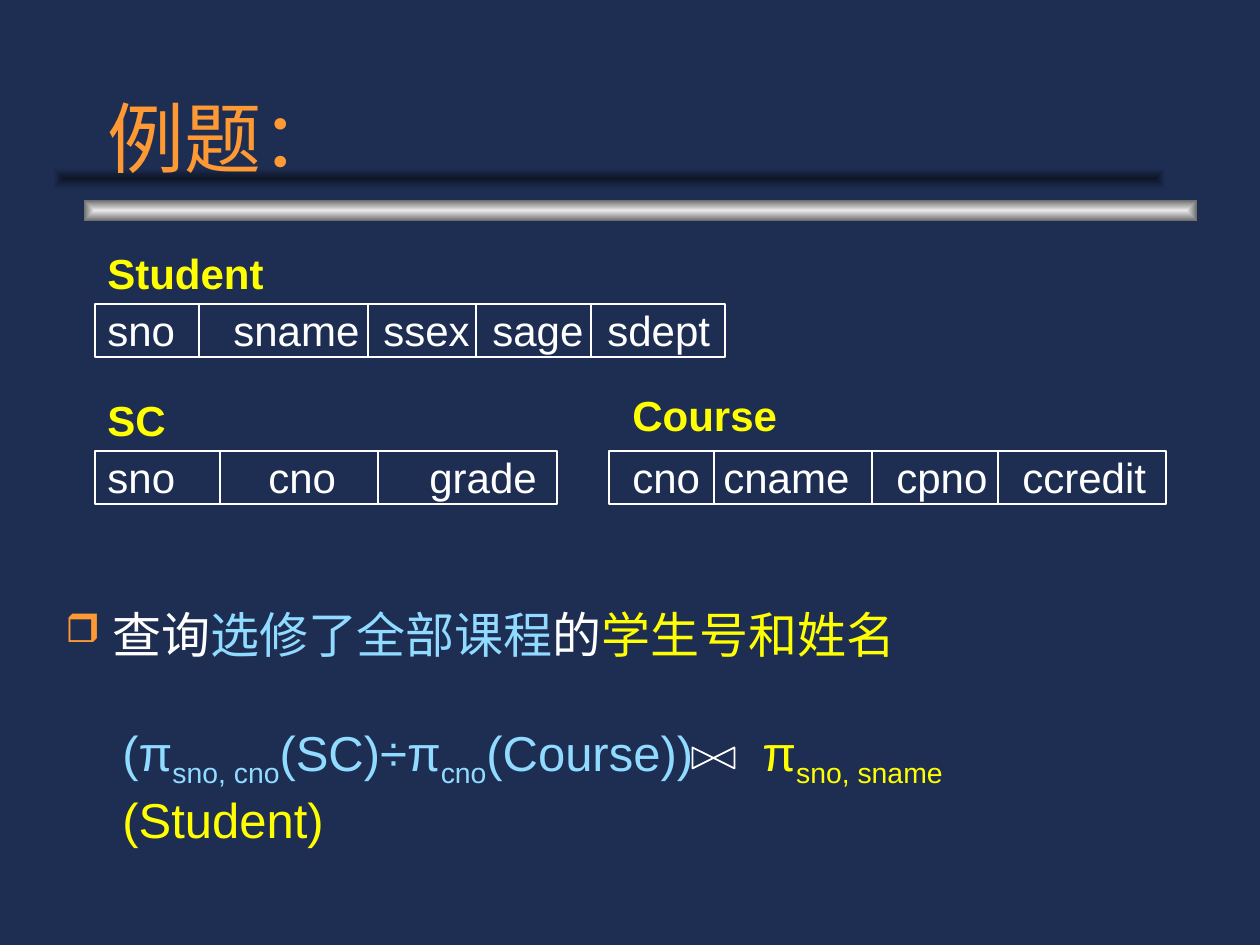
from lxml import etree
from pptx import Presentation
from pptx import util as u
from pptx.dml.color import RGBColor
from pptx.enum import shapes, text
from pptx.oxml.ns import qn

PX = 914400 // 126
FONT = "Arial"
NAVY = RGBColor(0x1E, 0x2E, 0x53)
SHADE = RGBColor(0x0E, 0x15, 0x26)
SILVER = RGBColor(0xEA, 0xEA, 0xEA)
GRAY = RGBColor(0x6C, 0x6C, 0x6C)
ORANGE = RGBColor(0xFF, 0x99, 0x33)
YELLOW = RGBColor(0xFF, 0xFF, 0x00)
SKY = RGBColor(0x90, 0xDB, 0xFF)
WHITE = RGBColor(0xFF, 0xFF, 0xFF)

TITLE = "例题："
# Bars under the title: left, top, centre colour, edge colour
BARS = [(84, 200, SILVER, GRAY), (53, 168, SHADE, NAVY)]
BAR_SIZE = (1113, 21)

# Each relation: text origin, gap before the row (pt), row frame, dividers,
# and columns as (name, x)
ROW_HEIGHT = 53
RELATIONS = [
    dict(name="Student", origin=(95, 241), gap=4, frame=(95, 304, 630),
         dividers=[199, 368, 476, 591],
         columns=[("sno", 107), ("sname", 233), ("ssex", 383),
                  ("sage", 492), ("sdept", 607)]),
    dict(name="SC", origin=(95, 388), gap=4, frame=(95, 451, 462),
         dividers=[220, 378],
         columns=[("sno", 107), ("cno", 268), ("grade", 429)]),
    dict(name="Course", origin=(620, 383), gap=7, frame=(609, 451, 557),
         dividers=[714, 872, 998],
         columns=[("cno", 632), ("cname", 723), ("cpno", 896),
                  ("ccredit", 1022)]),
]

# Runs: text, colour, subscript
QUESTION = [("查询", WHITE, False), ("选修了全部课程", SKY, False),
            ("的", WHITE, False), ("学生号和姓名", YELLOW, False)]
FORMULA = [
    [("(π", SKY, False), ("sno, cno", SKY, True), ("(SC)÷π", SKY, False),
     ("cno", SKY, True), ("(Course))\t", SKY, False), ("π", YELLOW, False),
     ("sno, sname", YELLOW, True)],
    [("(Student)", YELLOW, False)],
]
JOIN_GAP_END = 640


def px(*values):
    return [value * PX for value in values]


def add_box(page, *bounds, wrap=True, anchor=text.MSO_ANCHOR.TOP):
    frame = page.shapes.add_textbox(*px(*bounds)).text_frame
    frame.word_wrap = wrap
    frame.vertical_anchor = anchor
    return frame


def add_tabs(para, stops):
    tabs = etree.SubElement(para._p.get_or_add_pPr(), qn("a:tabLst"))
    for stop in stops:
        etree.SubElement(tabs, qn("a:tab"), pos=str(stop * PX), algn="l")


def style(font, size, color, bold=False):
    font.name, font.size, font.bold = FONT, u.Pt(size), bold
    font.color.rgb = color


def add_runs(para, runs, size):
    for words, color, subscript in runs:
        span = para.add_run()
        span.text = words
        style(span.font, size, color)
        if subscript:
            span.font._element.set("baseline", "-25000")


def add_bar(page, left, top, centre, edge):
    bar = page.shapes.add_shape(shapes.MSO_SHAPE.RECTANGLE,
                                *px(left, top, *BAR_SIZE))
    bar.shadow.inherit = False
    bar.line.fill.background()
    bar.fill.gradient()
    for stop, color in zip(bar.fill.gradient_stops, (centre, edge)):
        stop.color.rgb = color
    # Shade from the centre out to the four edges
    gradient = bar._element.spPr.find(qn("a:gradFill"))
    gradient.remove(gradient.find(qn("a:lin")))
    shading = etree.SubElement(gradient, qn("a:path"), path="rect")
    etree.SubElement(shading, qn("a:fillToRect"),
                     dict.fromkeys("ltrb", "50000"))


def add_outline(page, kind, *bounds):
    shape = page.shapes.add_shape(kind, *px(*bounds))
    shape.shadow.inherit = False
    shape.fill.background()
    shape.line.color.rgb = WHITE
    shape.line.width = u.Pt(1)
    return shape


def add_divider(page, x, top):
    line = page.shapes.add_connector(shapes.MSO_CONNECTOR.STRAIGHT,
                                     *px(x, top, x, top + ROW_HEIGHT))
    line.line.color.rgb = WHITE
    line.line.width = u.Pt(1)
    etree.SubElement(line._element.spPr, qn("a:effectLst"))


def add_relation(page, relation):
    left, top, width = relation["frame"]
    columns = relation["columns"]
    box = add_box(page, *relation["origin"], left + width - relation["origin"][0],
                  120, wrap=False)
    heading, row = box.paragraphs[0], box.add_paragraph()
    heading.text = relation["name"]
    style(heading.runs[0].font, 24, YELLOW, bold=True)
    row.space_before = u.Pt(relation["gap"])
    add_tabs(row, [x - columns[0][1] for _, x in columns[1:]])
    row.text = "\t".join(name for name, _ in columns)
    style(row.runs[0].font, 24, WHITE)
    add_outline(page, shapes.MSO_SHAPE.RECTANGLE, left, top, width, ROW_HEIGHT)
    for x in relation["dividers"]:
        add_divider(page, x, top)


def add_question(page):
    para = add_box(page, 53, 598, 1134, 126).paragraphs[0]
    props = para._p.get_or_add_pPr()
    props.set("marL", str(47 * PX))
    props.set("indent", str(-47 * PX))
    color = etree.SubElement(props, qn("a:buClr"))
    etree.SubElement(color, qn("a:srgbClr"), val=str(ORANGE))
    etree.SubElement(props, qn("a:buSzPct"), val="80000")
    etree.SubElement(props, qn("a:buChar"), char="❒")
    add_runs(para, QUESTION, 28)


def add_formula(page):
    para = add_box(page, 110, 716, 1045, 140, wrap=False).paragraphs[0]
    add_tabs(para, [JOIN_GAP_END])
    add_runs(para, FORMULA[0], 28)
    para.add_line_break()
    add_runs(para, FORMULA[1], 28)
    # Natural join sign
    join = add_outline(page, shapes.MSO_SHAPE.FLOWCHART_COLLATE, 703, 737, 21, 42)
    join.rotation = 90


def main():
    deck = Presentation()
    deck.slide_width, deck.slide_height = px(1260, 945)
    page = deck.slides.add_slide(deck.slide_layouts[6])
    page.background.fill.solid()
    page.background.fill.fore_color.rgb = NAVY

    # Title and bars
    for bar in BARS:
        add_bar(page, *bar)
    title = add_box(page, 95, 32, 1071, 157, anchor=text.MSO_ANCHOR.BOTTOM)
    title.text = TITLE
    style(title.paragraphs[0].runs[0].font, 44, ORANGE)

    # Relation schemas
    for relation in RELATIONS:
        add_relation(page, relation)

    # Question and answer
    add_question(page)
    add_formula(page)
    deck.save("out.pptx")


if __name__ == "__main__":
    main()
